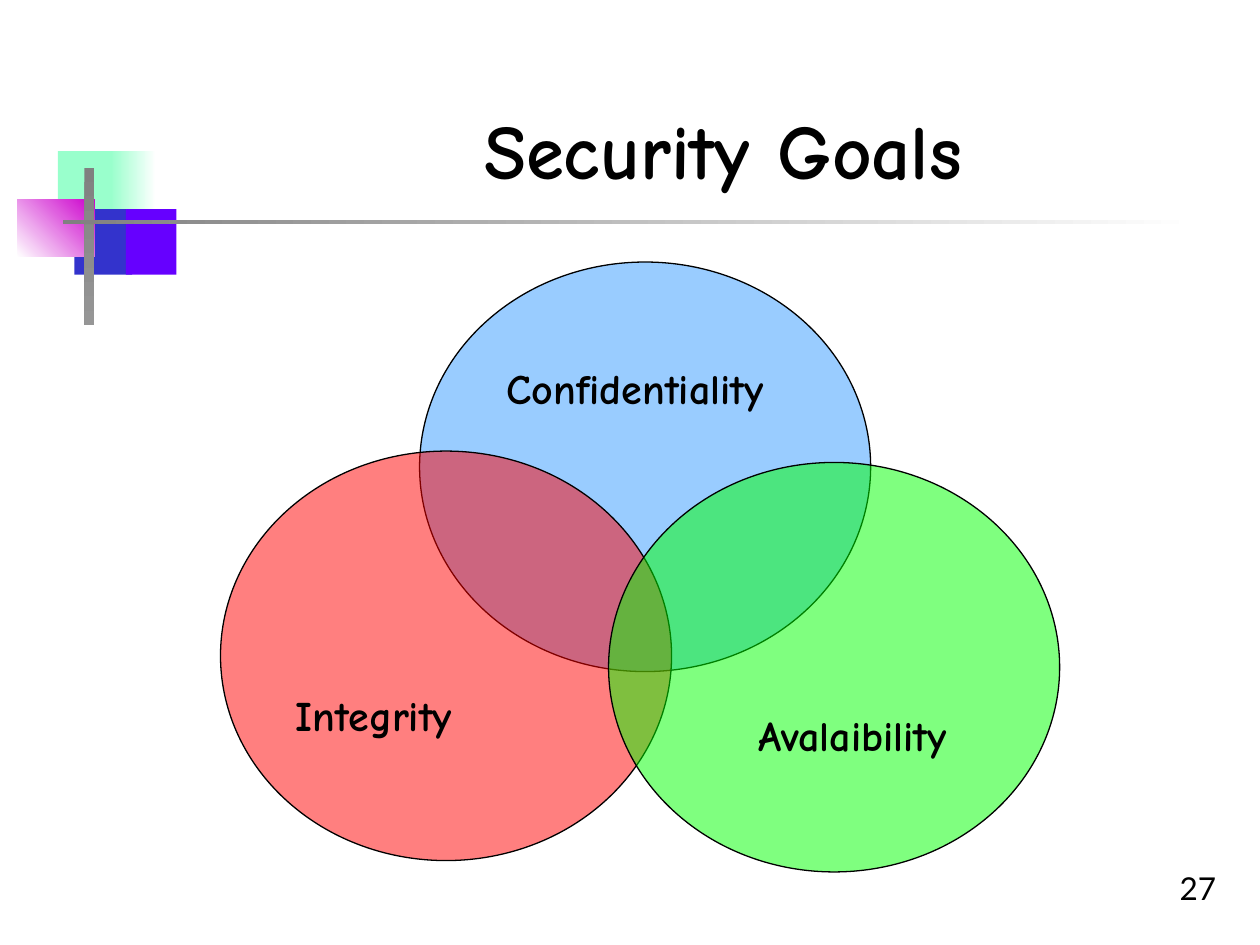
from lxml import etree
from pptx import Presentation
from pptx.dml.color import RGBColor
from pptx.enum.shapes import MSO_SHAPE as Preset
from pptx.enum.text import MSO_ANCHOR as Anchor, PP_ALIGN as Align
from pptx.oxml.ns import qn
from pptx.util import Inches, Pt


def color(hex_code):
    return RGBColor.from_string(hex_code)


def write(box, text, size, font, bold, align, anchor):
    frame = box.text_frame
    frame.word_wrap = True
    frame.vertical_anchor = anchor
    frame.text = text
    para = frame.paragraphs[0]
    para.alignment = align
    span = para.runs[0]
    span.font.size = Pt(size)
    span.font.name = font
    span.font.bold = bold
    span.font.color.rgb = color("000000")
    return para


deck = Presentation()
deck.slide_width = Inches(10)
deck.slide_height = Inches(7.5)
page = deck.slides.add_slide(deck.slide_layouts[5])

# Corner ornament and title rule: place, colours (two make a gradient), angle
ornament = [
    (0.46, 1.2, 0.48, 0.52, ["99FFCC"], 0),
    (0.88, 1.2, 0.36, 0.52, ["99FFCC", "FFFFFF"], 0),
    (0.59, 1.66, 0.46, 0.52, ["3333CC"], 0),
    (1, 1.66, 0.4, 0.52, ["6600FF"], 0),
    (0.14, 1.58, 0.61, 0.46, ["FFFFFF", "CC00CC"], 45),
    (0.67, 1.33, 0.08, 1.25, ["808080", "969696"], 270),
    (0.5, 1.75, 9, 0.03, ["808080", "FFFFFF"], 0),
]
for left, top, width, height, colors, angle in ornament:
    block = page.shapes.add_shape(
        Preset.RECTANGLE, Inches(left), Inches(top), Inches(width), Inches(height))
    block.shadow.inherit = False
    block.line.fill.background()
    if len(colors) == 1:
        block.fill.solid()
        block.fill.fore_color.rgb = color(colors[0])
    else:
        block.fill.gradient()
        block.fill.gradient_angle = angle
        for stop, hex_code in zip(block.fill.gradient_stops, colors):
            stop.color.rgb = color(hex_code)

# Title
title = page.shapes.title
title.left, title.top = Inches(1.48), Inches(0.33)
title.width, title.height = Inches(8.52), Inches(1.27)
write(title, "Security Goals", 44, "Comic Neue", True, Align.CENTER, Anchor.BOTTOM)

# Overlapping circles: place, colour, opacity in percent
circles = [
    (3.33, 2.08, "99CCFF", 100),
    (1.75, 3.58, "FF0000", 50),
    (4.83, 3.67, "00FF00", 50),
]
for left, top, hex_code, opacity in circles:
    circle = page.shapes.add_shape(
        Preset.OVAL, Inches(left), Inches(top), Inches(3.58), Inches(3.25))
    circle.shadow.inherit = False
    circle.fill.solid()
    circle.fill.fore_color.rgb = color(hex_code)
    circle.line.color.rgb = color("000000")
    circle.line.width = Pt(0.75)
    if opacity < 100:
        fill_color = circle.element.spPr.find(qn("a:solidFill"))[0]
        etree.SubElement(fill_color, qn("a:alpha")).set("val", str(opacity * 1000))

# Circle labels
labels = [
    ("Integrity", 2.25, 5.42, 2.17),
    ("Confidentiality", 3.92, 2.83, 2.67),
    ("Avalaibility", 5.92, 5.58, 2.25),
]
for text, left, top, width in labels:
    box = page.shapes.add_textbox(Inches(left), Inches(top), Inches(width), Inches(0.5))
    para = write(box, text, 24, "Comic Neue", True, Align.LEFT, Anchor.TOP)
    para.space_before = Pt(15)

# Page number
number = page.shapes.add_textbox(Inches(7.67), Inches(6.75), Inches(2.08), Inches(0.5))
write(number, "27", 18, "Lato", False, Align.RIGHT, Anchor.BOTTOM)

deck.save("out.pptx")
